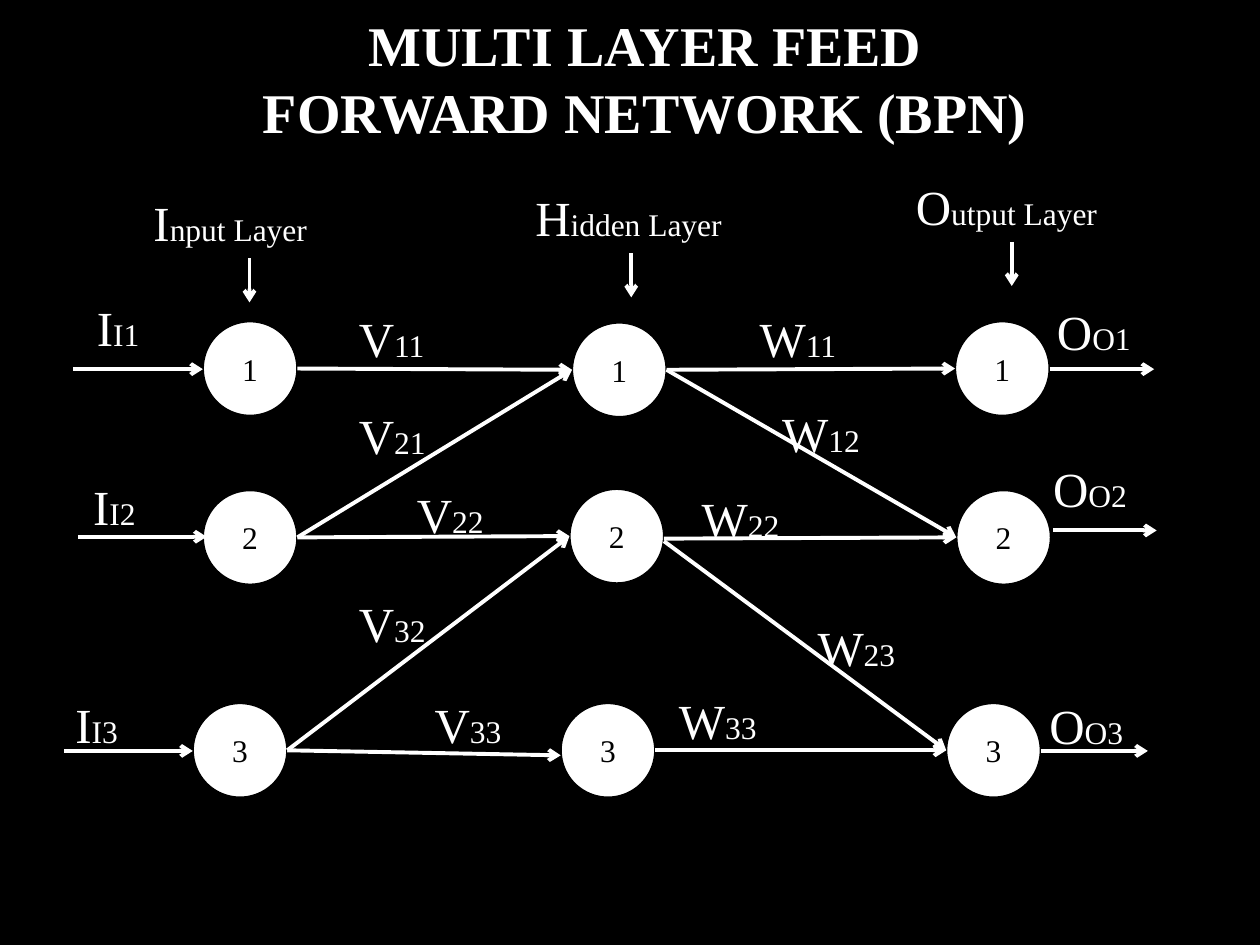
from lxml import etree
from pptx import Presentation
from pptx.dml.color import RGBColor
from pptx.enum.shapes import MSO_CONNECTOR, MSO_SHAPE
from pptx.enum.text import MSO_ANCHOR, MSO_AUTO_SIZE, PP_ALIGN
from pptx.oxml.ns import qn
from pptx.util import Inches, Pt

STRAIGHT, OVAL = MSO_CONNECTOR.STRAIGHT, MSO_SHAPE.OVAL
TOP, MIDDLE = MSO_ANCHOR.TOP, MSO_ANCHOR.MIDDLE
FIXED, GROW = MSO_AUTO_SIZE.NONE, MSO_AUTO_SIZE.SHAPE_TO_FIT_TEXT
LEFT, CENTER = PP_ALIGN.LEFT, PP_ALIGN.CENTER

FONT = "Times New Roman"
BLACK, WHITE = "000000", "FFFFFF"
TITLE = "MULTI LAYER FEED FORWARD NETWORK (BPN)"
DIAMETER, LABEL_W, LABEL_H = 0.75, 0.92, 0.57
LAYER_ARROW_INSET, LAYER_ARROW_LENGTH = 0.86, 0.35

LAYERS = [
    ("Input Layer", 1.12, 1.48, 1.43),
    ("Hidden Layer", 4.15, 1.44, 1.96),
    ("Output Layer", 7.17, 1.35, 1.96),
]
NEURONS = {
    "input": [(1.61, 2.55), (1.61, 3.89), (1.53, 5.58)],
    "hidden": [(4.54, 2.56), (4.52, 3.88), (4.45, 5.58)],
    "output": [(7.58, 2.55), (7.59, 3.89), (7.51, 5.58)],
}
INPUTS = [
    ("II1", 0.67, 2.31, (0.58, 2.93), 1.03),
    ("II2", 0.64, 3.73, (0.62, 4.26), 1.02),
    ("II3", 0.50, 5.46, (0.51, 5.96), 1.02),
]
OUTPUTS = [
    ("OO1", 8.29, 2.34, (8.33, 2.93), 0.83),
    ("OO2", 8.26, 3.59, (8.36, 4.21), 0.82),
    ("OO3", 8.23, 5.47, (8.26, 5.96), 0.85),
]
WEIGHTS = [
    ("V11", 2.75, 2.40, 0, 0),
    ("V21", 2.75, 3.17, 0, 0),
    ("V22", 3.21, 3.80, 0, 0),
    ("V32", 2.75, 4.66, 0, 0),
    ("V33", 3.35, 5.46, 0, 0.04),
    ("W11", 5.93, 2.40, 0, 0),
    ("W12", 6.11, 3.15, 0, 0),
    ("W22", 5.47, 3.83, 0.02, 0),
    ("W23", 6.39, 4.85, 0.04, 0),
    ("W33", 5.29, 5.43, 0, 0),
]
WEIGHT_LAYERS = {"V": ("input", "hidden"), "W": ("hidden", "output")}


def color(hex_value):
    return RGBColor.from_string(hex_value)


def add_run(paragraph, text, size, hex_value, bold=False):
    run = paragraph.add_run()
    run.text = text
    run.font.name = FONT
    run.font.size = Pt(size)
    run.font.bold = bold
    run.font.color.rgb = color(hex_value)


def add_label(slide, text, x, y, width=LABEL_W):
    label = slide.shapes.add_textbox(*map(Inches, (x, y, width, LABEL_H)))
    frame = label.text_frame
    frame.word_wrap = True
    frame.auto_size = GROW
    paragraph = frame.paragraphs[0]
    paragraph.alignment = LEFT
    add_run(paragraph, text[0], 28, WHITE)
    add_run(paragraph, text[1:], 18, WHITE)


def add_arrow(slide, start, end):
    arrow = slide.shapes.add_connector(STRAIGHT, *map(Inches, (*start, *end)))
    arrow.line.width = Pt(2.25)
    arrow.line.color.rgb = color(WHITE)
    etree.SubElement(arrow.line._get_or_add_ln(), qn("a:tailEnd"), type="arrow")
    etree.SubElement(arrow._element.spPr, qn("a:effectLst"))


def add_neuron(slide, number, x, y):
    neuron = slide.shapes.add_shape(OVAL, *map(Inches, (x, y, DIAMETER, DIAMETER)))
    neuron.shadow.inherit = False
    neuron.fill.solid()
    neuron.fill.fore_color.rgb = color(WHITE)
    neuron.line.color.rgb = color(BLACK)
    neuron.line.width = Pt(1.25)
    neuron.text_frame.vertical_anchor = MIDDLE
    paragraph = neuron.text_frame.paragraphs[0]
    paragraph.alignment = CENTER
    add_run(paragraph, str(number), 18, BLACK)


def add_title(slide):
    title = slide.shapes.title
    title.left, title.top, title.width, title.height = map(Inches, (1.82, 0.03, 6.6, 1.18))
    frame = title.text_frame
    frame.word_wrap = True
    frame.auto_size = FIXED
    frame.vertical_anchor = TOP
    paragraph = frame.paragraphs[0]
    paragraph.alignment = CENTER
    add_run(paragraph, TITLE, 32, WHITE, bold=True)


def main():
    deck = Presentation()
    deck.slide_width, deck.slide_height = Inches(10), Inches(7.5)
    slide = deck.slides.add_slide(deck.slide_layouts[5])
    slide.background.fill.solid()
    slide.background.fill.fore_color.rgb = color(BLACK)
    add_title(slide)

    for neurons in NEURONS.values():
        for number, (x, y) in enumerate(neurons, 1):
            add_neuron(slide, number, x, y)

    for text, x, y, (start_x, start_y), length in INPUTS + OUTPUTS:
        add_arrow(slide, (start_x, start_y), (start_x + length, start_y))
        add_label(slide, text, x, y)

    for text, x, y, width in LAYERS:
        add_label(slide, text, x, y, width)
        arrow_x, arrow_y = x + LAYER_ARROW_INSET, y + LABEL_H
        add_arrow(slide, (arrow_x, arrow_y), (arrow_x, arrow_y + LAYER_ARROW_LENGTH))

    radius = DIAMETER / 2
    for text, x, y, start_drop, end_drop in WEIGHTS:
        source, target = WEIGHT_LAYERS[text[0]]
        source_x, source_y = NEURONS[source][int(text[1]) - 1]
        target_x, target_y = NEURONS[target][int(text[2]) - 1]
        add_arrow(slide, (source_x + DIAMETER, source_y + radius + start_drop),
                  (target_x, target_y + radius + end_drop))
        add_label(slide, text, x, y)

    deck.save("out.pptx")


if __name__ == "__main__":
    main()
